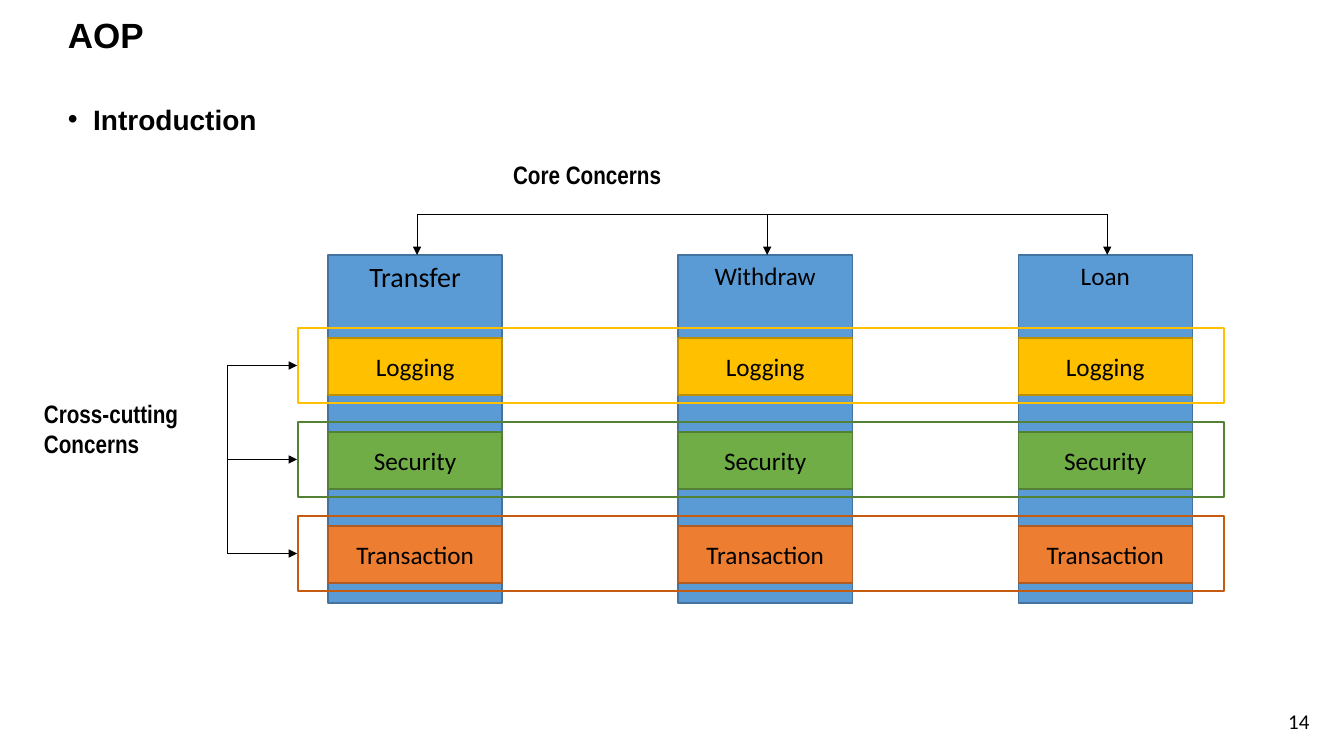
"""Builds the AOP slide: core concerns crossed by cross-cutting concerns."""
from lxml import etree
from pptx import Presentation
from pptx import util as u
from pptx.dml.color import RGBColor
from pptx.enum import shapes, text
from pptx.oxml.ns import qn

PX = 914400 / 100.8
BLACK = RGBColor(0, 0, 0)
BLUE, BLUE_EDGE = RGBColor(0x5B, 0x9B, 0xD5), RGBColor(0x43, 0x73, 0x9E)
GOLD, GOLD_EDGE = RGBColor(0xFF, 0xC0, 0x00), RGBColor(0xBD, 0x8E, 0x00)
GREEN, GREEN_EDGE = RGBColor(0x70, 0xAD, 0x47), RGBColor(0x53, 0x80, 0x35)
GREEN_FRAME = RGBColor(0x54, 0x82, 0x35)
ORANGE, ORANGE_EDGE = RGBColor(0xED, 0x7D, 0x31), RGBColor(0xAF, 0x5C, 0x24)
ORANGE_FRAME = RGBColor(0xC5, 0x5A, 0x11)

TITLE, TOPIC, PAGE = "AOP", "Introduction", "14"
CORE_LABEL, CROSS_LABEL = "Core Concerns", "Cross-cutting\nConcerns"
CORE_CONCERNS = [("Transfer", 328, 20), ("Withdraw", 678, 18), ("Loan", 1018, 18)]
CROSS_CONCERNS = [
    ("Logging", GOLD, GOLD_EDGE, GOLD),
    ("Security", GREEN, GREEN_EDGE, GREEN_FRAME),
    ("Transaction", ORANGE, ORANGE_EDGE, ORANGE_FRAME),
]

COLUMN_TOP, COLUMN_W, COLUMN_H = 255, 174, 348
CELL_TOP, CELL_H, CELL_PITCH = 338, 57, 94
FRAME_LEFT, FRAME_W, FRAME_H, FRAME_PAD = 298, 926, 75, 10
CORE_BUS_Y, CROSS_BUS_X = 214, 227


def px(*lengths):
    return [u.Emu(round(length * PX)) for length in lengths]


def write(holder, words, size, font, bold=False, align=text.PP_ALIGN.LEFT,
          anchor=text.MSO_ANCHOR.TOP, spacing=None):
    frame = holder.text_frame
    frame.word_wrap = True
    frame.vertical_anchor = anchor
    frame.text = words
    for paragraph in frame.paragraphs:
        paragraph.alignment = align
        if spacing:
            paragraph.line_spacing = spacing
        for run in paragraph.runs:
            run.font.size = u.Pt(size)
            run.font.name = font
            run.font.bold = bold
            run.font.color.rgb = BLACK
    return frame


def label(slide, box, words, size, font, **style):
    return write(slide.shapes.add_textbox(*px(*box)), words, size, font, **style)


def block(slide, box, edge, width, fill=None):
    rect = slide.shapes.add_shape(shapes.MSO_SHAPE.RECTANGLE, *px(*box))
    rect.shadow.inherit = False
    if fill is None:
        rect.fill.background()
    else:
        rect.fill.solid()
        rect.fill.fore_color.rgb = fill
    rect.line.color.rgb = edge
    rect.line.width = u.Pt(width)
    return rect


def link(slide, start, end, arrow=False):
    line = slide.shapes.add_connector(shapes.MSO_CONNECTOR.STRAIGHT, *px(*start, *end))
    line.line.color.rgb = BLACK
    line.line.width = u.Pt(0.5)
    properties = line._element.spPr
    if arrow:
        etree.SubElement(properties.find(qn("a:ln")), qn("a:tailEnd"), type="triangle")
    etree.SubElement(properties, qn("a:effectLst"))


def add_bullet(paragraph):
    properties = paragraph._p.get_or_add_pPr()
    indent = u.Inches(0.25)
    properties.set("marL", str(indent))
    properties.set("indent", str(-indent))
    etree.SubElement(properties, qn("a:buFont"), typeface="Arial")
    etree.SubElement(properties, qn("a:buChar"), char="•")


def main():
    deck = Presentation()
    deck.slide_width, deck.slide_height = u.Inches(13.33), u.Inches(7.5)
    slide = deck.slides.add_slide(deck.slide_layouts[6])
    middle, center = text.MSO_ANCHOR.MIDDLE, text.PP_ALIGN.CENTER

    label(slide, (58, 18, 1159, 38), TITLE, 25, "Arial", bold=True,
          anchor=middle, spacing=0.9)
    label(slide, (1017, 701, 302, 40), PAGE, 15, "Calibri",
          align=text.PP_ALIGN.RIGHT, anchor=middle)
    topic = label(slide, (58, 84, 1249, 665), TOPIC, 20, "Arial", bold=True, spacing=1.4)
    add_bullet(topic.paragraphs[0])
    label(slide, (503, 154, 198, 40), CORE_LABEL, 18, "Arial Narrow", bold=True)
    label(slide, (34, 393, 191, 72), CROSS_LABEL, 18, "Arial Narrow", bold=True)

    cell_tops = [CELL_TOP + row * CELL_PITCH for row in range(len(CROSS_CONCERNS))]
    core_xs = [left + COLUMN_W / 2 + 2 for _, left, _ in CORE_CONCERNS]
    cross_ys = [top - FRAME_PAD + FRAME_H / 2 for top in cell_tops]

    for core, left, size in CORE_CONCERNS:
        column = block(slide, (left, COLUMN_TOP, COLUMN_W, COLUMN_H), BLUE_EDGE, 1, BLUE)
        write(column, core, size, "Calibri", align=center)
        for (cross, fill, edge, _), top in zip(CROSS_CONCERNS, cell_tops):
            cell = block(slide, (left, top, COLUMN_W, CELL_H), edge, 1, fill)
            write(cell, cross, 18, "Calibri", align=center, anchor=middle)

    for (_, _, _, outline), top in zip(CROSS_CONCERNS, cell_tops):
        block(slide, (FRAME_LEFT, top - FRAME_PAD, FRAME_W, FRAME_H), outline, 1.25)

    for x in core_xs:
        link(slide, (x, CORE_BUS_Y), (x, COLUMN_TOP), arrow=True)
    link(slide, (core_xs[0], CORE_BUS_Y), (core_xs[-1], CORE_BUS_Y))
    for y in cross_ys:
        link(slide, (CROSS_BUS_X, y), (FRAME_LEFT - 1, y), arrow=True)
    link(slide, (CROSS_BUS_X, cross_ys[-1]), (CROSS_BUS_X, cross_ys[0]))

    deck.save("out.pptx")


if __name__ == "__main__":
    main()
